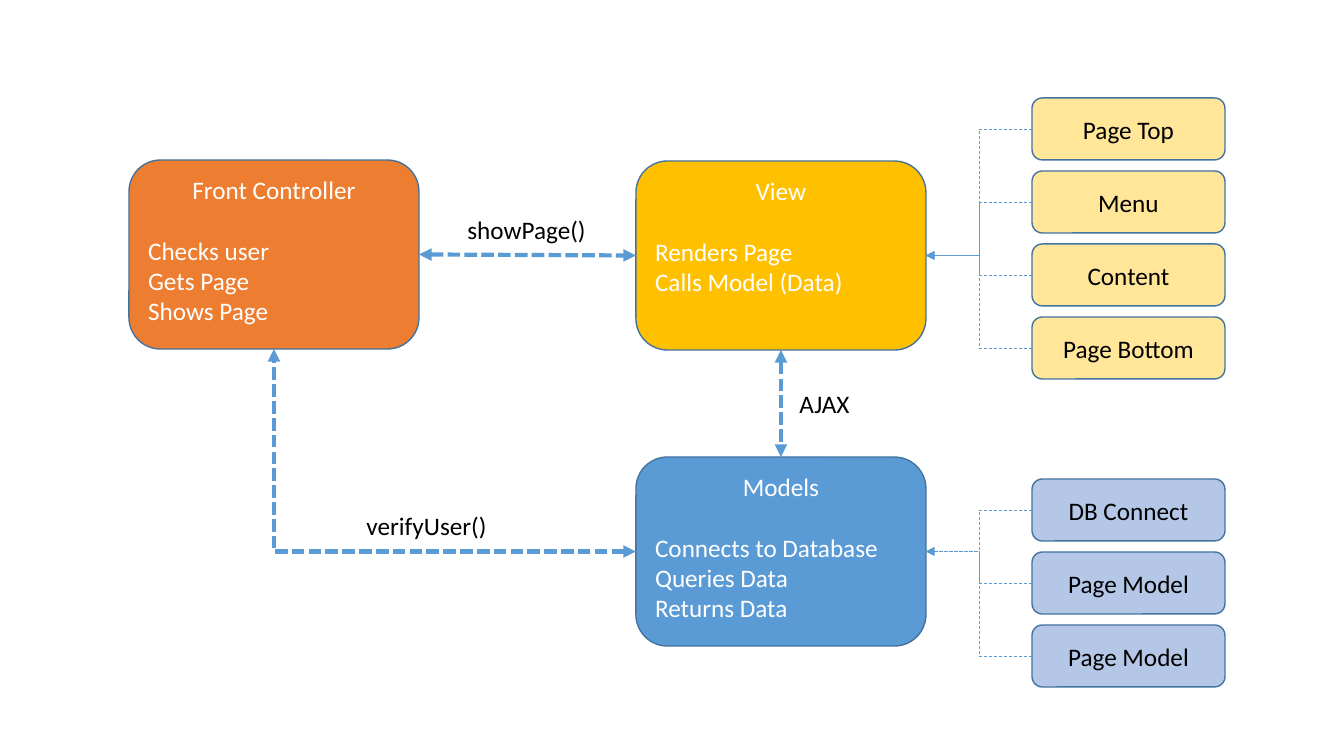
import lxml.etree
import pptx
import pptx.dml.color
import pptx.enum.dml
import pptx.enum.shapes
import pptx.enum.text
import pptx.oxml.ns
import pptx.util

PIXEL = 914400 / 100.8
COLOURS = {
    "controller": "ED7D31", "view": "FFC000", "models": "5B9BD5",
    "view part": "FFE699", "model part": "B4C7E7",
    "outline": "43739E", "link": "5B9BD5", "white": "FFFFFF", "black": "000000",
}
TOP, LEFT, BOTTOM, RIGHT = range(4)
PART_HEIGHT, PART_PITCH = 62, 73
SOLID_LINK = {"width": 3, "dash": pptx.enum.dml.MSO_LINE.SQUARE_DOT, "both": True}
THIN_LINK = {"width": 0.5, "dash": pptx.enum.dml.MSO_LINE.DASH, "both": False}
Align = pptx.enum.text.PP_ALIGN
Anchor = pptx.enum.text.MSO_ANCHOR
Connector = pptx.enum.shapes.MSO_CONNECTOR


def emu(pixels):
    return pptx.util.Emu(round(pixels * PIXEL))


def colour(name):
    return pptx.dml.color.RGBColor.from_string(COLOURS[name])


def write(shape, text, ink="black", align=Align.CENTER, anchor=Anchor.MIDDLE, size=18):
    frame = shape.text_frame
    frame.word_wrap = True
    frame.vertical_anchor = anchor
    for index, line in enumerate(text.split("\n")):
        para = frame.paragraphs[0] if index == 0 else frame.add_paragraph()
        para.alignment = align
        span = para.add_run()
        span.text = line
        span.font.size = pptx.util.Pt(size)
        span.font.name = "Calibri"
        span.font.color.rgb = colour(ink)
    return frame


def rounded_box(page, box, fill):
    shape = page.shapes.add_shape(
        pptx.enum.shapes.MSO_SHAPE.ROUNDED_RECTANGLE, *map(emu, box))
    shape.shadow.inherit = False
    shape.fill.solid()
    shape.fill.fore_color.rgb = colour(fill)
    shape.line.color.rgb = colour("outline")
    shape.line.width = pptx.util.Pt(1)
    return shape


def component(page, box, fill, title, duties):
    shape = rounded_box(page, box, fill)
    frame = write(shape, title + "\n" + duties, ink="white",
                  align=Align.LEFT, anchor=Anchor.TOP)
    heading = frame.paragraphs[0]
    heading.alignment = Align.CENTER
    heading.space_after = pptx.util.Pt(22)
    return shape


def link(page, start, start_site, end, end_site, kind, width, dash, both):
    connector = page.shapes.add_connector(kind, 0, 0, 0, 0)
    connector.begin_connect(start, start_site)
    connector.end_connect(end, end_site)
    connector.line.color.rgb = colour("link")
    connector.line.width = pptx.util.Pt(width)
    connector.line.dash_style = dash
    qn = pptx.oxml.ns.qn
    for tag in ("a:headEnd", "a:tailEnd") if both else ("a:tailEnd",):
        lxml.etree.SubElement(connector.get_or_add_ln(), qn(tag), type="triangle")
    lxml.etree.SubElement(connector._element.spPr, qn("a:effectLst"))
    return connector


def part_column(page, box, fill, names, owner):
    left, top, width, height = box
    for index, name in enumerate(names):
        part = rounded_box(page, (left, top + index * PART_PITCH, width, height), fill)
        write(part, name)
        link(page, part, LEFT, owner, RIGHT, Connector.ELBOW, **THIN_LINK)


def label(page, box, text):
    write(page.shapes.add_textbox(*map(emu, box)), text, anchor=Anchor.TOP)


def architecture(page, box):
    left, top, width, height = box
    right_column = left + 507
    controller = component(page, (left, top, width, height), "controller",
                           "Front Controller", "Checks user\nGets Page\nShows Page")
    view = component(page, (right_column, top + 1, width, height), "view",
                     "View", "Renders Page\nCalls Model (Data)")
    models = component(page, (right_column, top + 297, width, height), "models",
                       "Models", "Connects to Database\nQueries Data\nReturns Data")

    link(page, view, BOTTOM, models, TOP, Connector.STRAIGHT, **SOLID_LINK)
    link(page, controller, RIGHT, view, LEFT, Connector.STRAIGHT, **SOLID_LINK)
    corner = link(page, models, LEFT, controller, BOTTOM, Connector.ELBOW, **SOLID_LINK)
    corner._element.spPr.find(pptx.oxml.ns.qn("a:prstGeom")).set("prst", "bentConnector2")

    part_left = left + 903
    part_column(page, (part_left, top - 62, 193, PART_HEIGHT), "view part",
                ("Page Top", "Menu", "Content", "Page Bottom"), view)
    part_column(page, (part_left, top + 319, 193, PART_HEIGHT), "model part",
                ("DB Connect", "Page Model", "Page Model"), models)

    for text, across, down in (("showPage()", 317, 49), ("verifyUser()", 217, 345),
                               ("AJAX", 615, 223)):
        label(page, (left + across, top + down, 161, 40), text)


deck = pptx.Presentation()
deck.slide_width, deck.slide_height = emu(1344), emu(756)
page = deck.slides.add_slide(deck.slide_layouts[6])
architecture(page, (129, 160, 290, 189))
deck.save("out.pptx")
